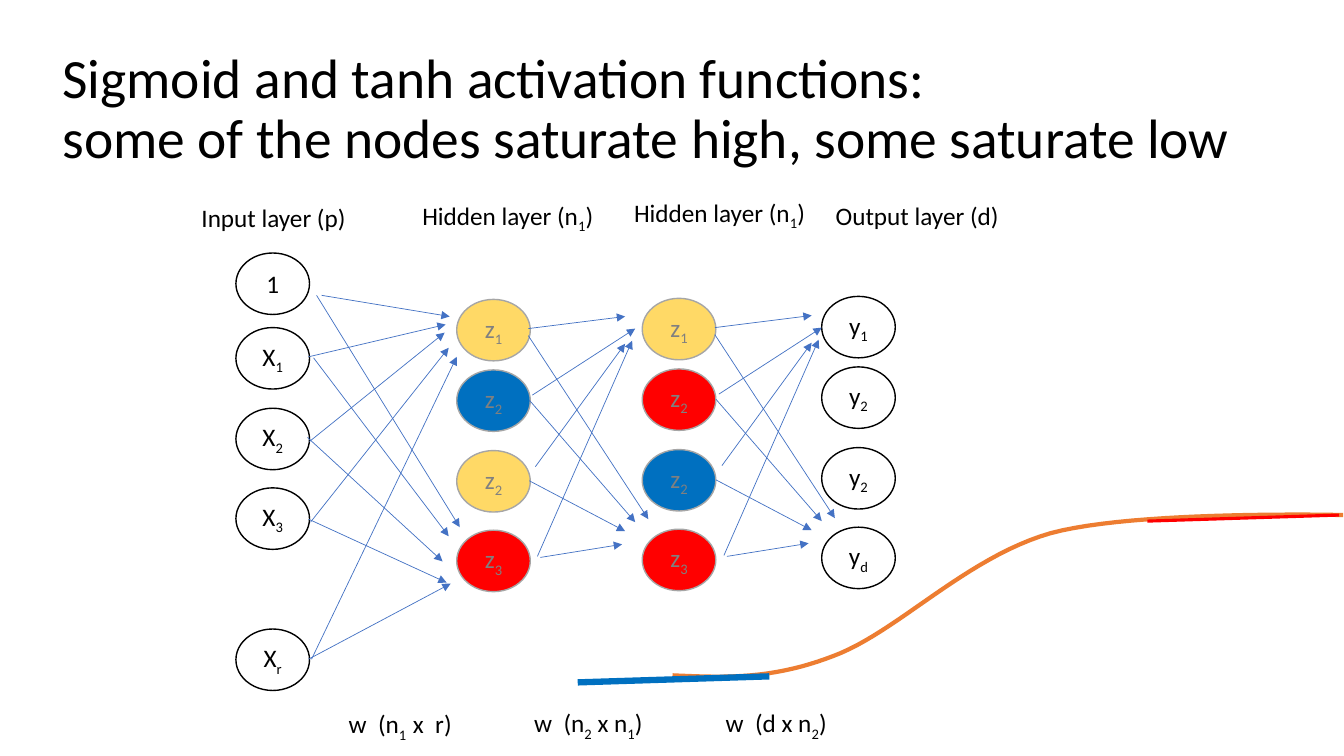
from lxml import etree
from pptx import Presentation
from pptx.dml.color import RGBColor
from pptx.enum.shapes import MSO_CONNECTOR, MSO_SHAPE
from pptx.enum.text import MSO_ANCHOR, MSO_AUTO_SIZE, PP_ALIGN
from pptx.oxml.ns import qn
from pptx.util import Inches, Pt

BLACK = RGBColor(0x00, 0x00, 0x00)
GREY_TEXT = RGBColor(0x80, 0x80, 0x80)
GREY_LINE = RGBColor(0xA6, 0xA6, 0xA6)
YELLOW = RGBColor(0xFF, 0xD9, 0x66)
BLUE = RGBColor(0x00, 0x70, 0xC0)
RED = RGBColor(0xFF, 0x00, 0x00)
ARROW_BLUE = RGBColor(0x44, 0x72, 0xC4)
ORANGE = RGBColor(0xED, 0x7D, 0x31)

deck = Presentation()
deck.slide_width, deck.slide_height = Inches(13.33), Inches(7.5)
page = deck.slides.add_slide(deck.slide_layouts[5])


def write(frame, text, color):
    """Write one line of text; every second part between underscores is a subscript."""
    para = frame.paragraphs[0]
    for index, part in enumerate(text.split("_")):
        if part:
            span = para.add_run()
            span.text = part
            if index % 2:
                span.font._element.set("baseline", "-25000")
    para.font.name, para.font.size = "Calibri", Pt(18)
    para.font.color.rgb = color
    return para


def draw_line(start, end, color, width, arrow=False):
    line = page.shapes.add_connector(
        MSO_CONNECTOR.STRAIGHT, *(Inches(length) for length in (*start, *end)))
    line.line.color.rgb = color
    line.line.width = Pt(width)
    if arrow:
        etree.SubElement(line.line._get_or_add_ln(), qn("a:tailEnd"), type="triangle")
    etree.SubElement(line._element.spPr, qn("a:effectLst"))


# Title
title = page.shapes.title
title.left, title.top = Inches(0.52), Inches(0.37)
title.width, title.height = Inches(12.29), Inches(1.45)
title.text_frame.text = ("Sigmoid and tanh activation functions:\v"
                         "some of the nodes saturate high, some saturate low")
title.text_frame.word_wrap = True
title.text_frame.auto_size = MSO_AUTO_SIZE.NONE
title.text_frame.vertical_anchor = MSO_ANCHOR.MIDDLE
heading = title.text_frame.paragraphs[0]
heading.alignment = PP_ALIGN.LEFT
heading.line_spacing = 0.9
heading.font.name, heading.font.size = "Calibri", Pt(39.6)
heading.font.color.rgb = BLACK

# Layers of nodes: left, top of the first row, then row offset, label and fill
ROWS = (0, 0.7, 1.5, 2.29)
layers = [
    (2.34, 2.55, (-0.04, *ROWS[1:], 3.69), ("1", "X_1", "X_2", "X_3", "X_r"), [None] * 5),
    (4.53, 2.97, ROWS, ("z_1", "z_2", "z_2", "z_3"), (YELLOW, BLUE, YELLOW, RED)),
    (6.37, 2.96, ROWS, ("z_1", "z_2", "z_2", "z_3"), (YELLOW, RED, BLUE, RED)),
    (8.15, 2.94, ROWS, ("y_1", "y_2", "y_2", "y_d"), [None] * 4),
]
for left, top, rows, labels, fills in layers:
    for row, label, fill in zip(rows, labels, fills):
        node = page.shapes.add_shape(MSO_SHAPE.OVAL, Inches(left), Inches(top + row),
                                     Inches(0.73), Inches(0.61))
        node.shadow.inherit = False
        node.line.width = Pt(1)
        node.line.color.rgb = GREY_LINE if fill else BLACK
        if fill:
            node.fill.solid()
            node.fill.fore_color.rgb = fill
        else:
            node.fill.background()
        node.text_frame.vertical_anchor = MSO_ANCHOR.MIDDLE
        para = write(node.text_frame, label, GREY_TEXT if fill else BLACK)
        para.alignment = PP_ALIGN.CENTER

# Arrows between layers
input_arrows = [
    ((3.19, 2.93), (4.46, 3.14)), ((3.06, 3.54), (4.42, 3.22)),
    ((3.07, 4.38), (4.41, 3.30)), ((3.08, 5.18), (4.45, 3.45)),
    ((3.09, 6.54), (4.53, 3.54)), ((3.06, 6.54), (4.47, 5.79)),
    ((3.06, 5.15), (4.43, 5.78)), ((3.05, 4.34), (4.39, 5.57)),
    ((3.11, 3.55), (4.45, 5.32)), ((3.14, 2.93), (4.56, 5.23)),
]
hidden_arrows = [
    ((5.24, 3.33), (6.43, 5.15)), ((5.25, 4.77), (6.20, 5.27)),
    ((5.25, 3.97), (6.30, 5.18)), ((5.36, 5.53), (6.17, 5.40)),
    ((5.33, 5.52), (6.27, 3.38)), ((5.31, 4.63), (6.20, 3.41)),
    ((5.28, 3.92), (6.30, 3.26)), ((5.24, 3.26), (6.20, 3.14)),
]
output_arrows = [[(x + 1.85, y - 0.01) for x, y in arrow] for arrow in hidden_arrows]
for start, end in input_arrows + hidden_arrows + output_arrows:
    draw_line(start, end, ARROW_BLUE, 0.5, arrow=True)

# Layer names above, weight sizes below
captions = [
    (1.90, 1.96, 2.30, "Input layer (p)"),
    (4.09, 1.94, 2.30, "Hidden layer (n_1_)"),
    (6.19, 1.91, 2.30, "Hidden layer (n_1_)"),
    (8.19, 1.94, 2.30, "Output layer (d)"),
    (3.36, 6.98, 1.43, "w  (n_1  _x  r)"),
    (5.20, 6.97, 1.47, "w  (n_2_ x n_1_)"),
    (7.10, 6.97, 1.47, "w  (d x n_2_)"),
]
for left, top, width, text in captions:
    box = page.shapes.add_textbox(Inches(left), Inches(top), Inches(width), Inches(0.4))
    box.text_frame.word_wrap = True
    write(box.text_frame, text, BLACK)

# Sigmoid curve, traced in short steps along three Bézier arcs
STEPS = 24
knots = [(6.67, 6.70), (7.15, 6.72), (7.64, 6.75), (8.26, 6.51), (8.89, 6.28),
         (9.58, 5.53), (10.42, 5.29), (11.26, 5.06), (13.32, 5.11), (13.32, 5.11)]
curve = []
for first in range(0, 9, 3):
    arc = knots[first:first + 4]
    for step in range(1, STEPS + 1):
        t = step / STEPS
        weights = ((1 - t) ** 3, 3 * t * (1 - t) ** 2, 3 * t ** 2 * (1 - t), t ** 3)
        curve.append(tuple(Inches(sum(w * knot[axis] for w, knot in zip(weights, arc)))
                           for axis in (0, 1)))
builder = page.shapes.build_freeform(Inches(knots[0][0]), Inches(knots[0][1]))
builder.add_line_segments(curve, close=False)
sigmoid = builder.convert_to_shape()
sigmoid.shadow.inherit = False
sigmoid.fill.background()
sigmoid.line.color.rgb = ORANGE
sigmoid.line.width = Pt(3)

# Saturated ends of the curve
draw_line((11.38, 5.17), (13.28, 5.11), RED, 2.25)
draw_line((5.73, 6.77), (7.63, 6.71), BLUE, 4.5)

deck.save("out.pptx")
